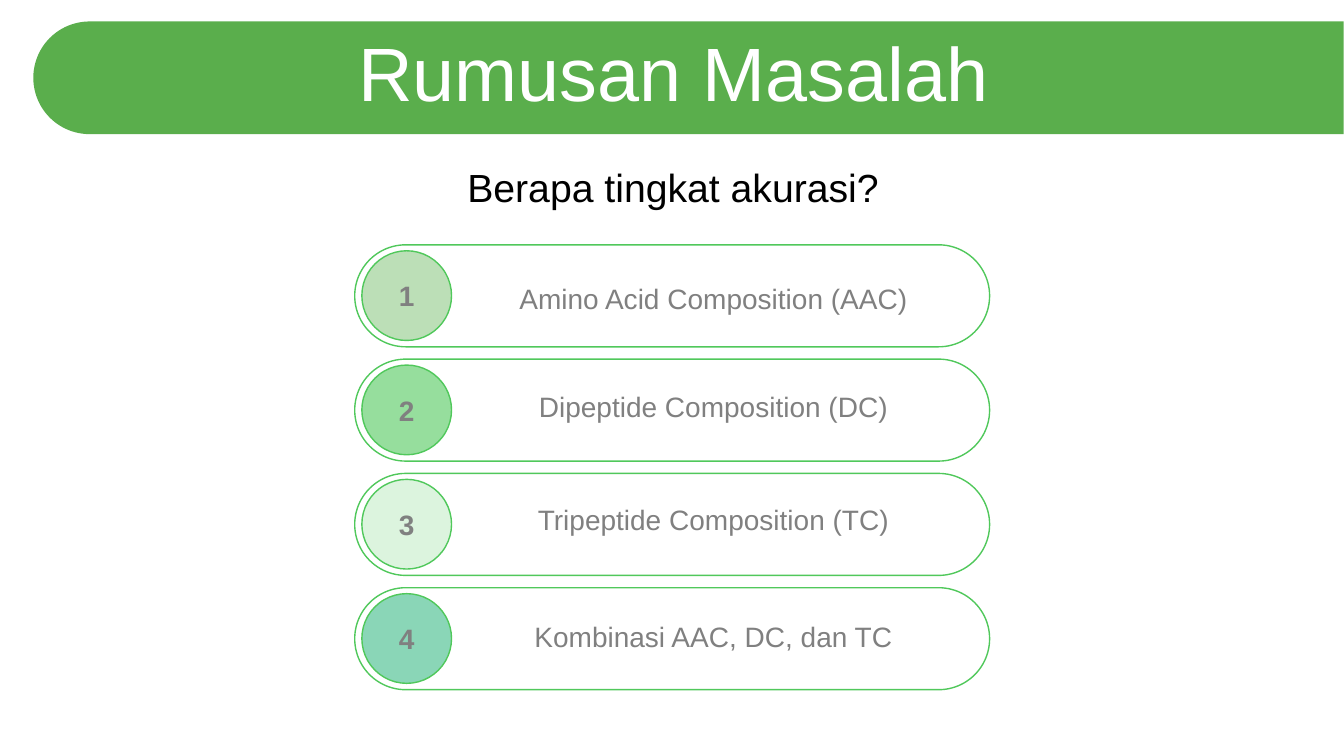
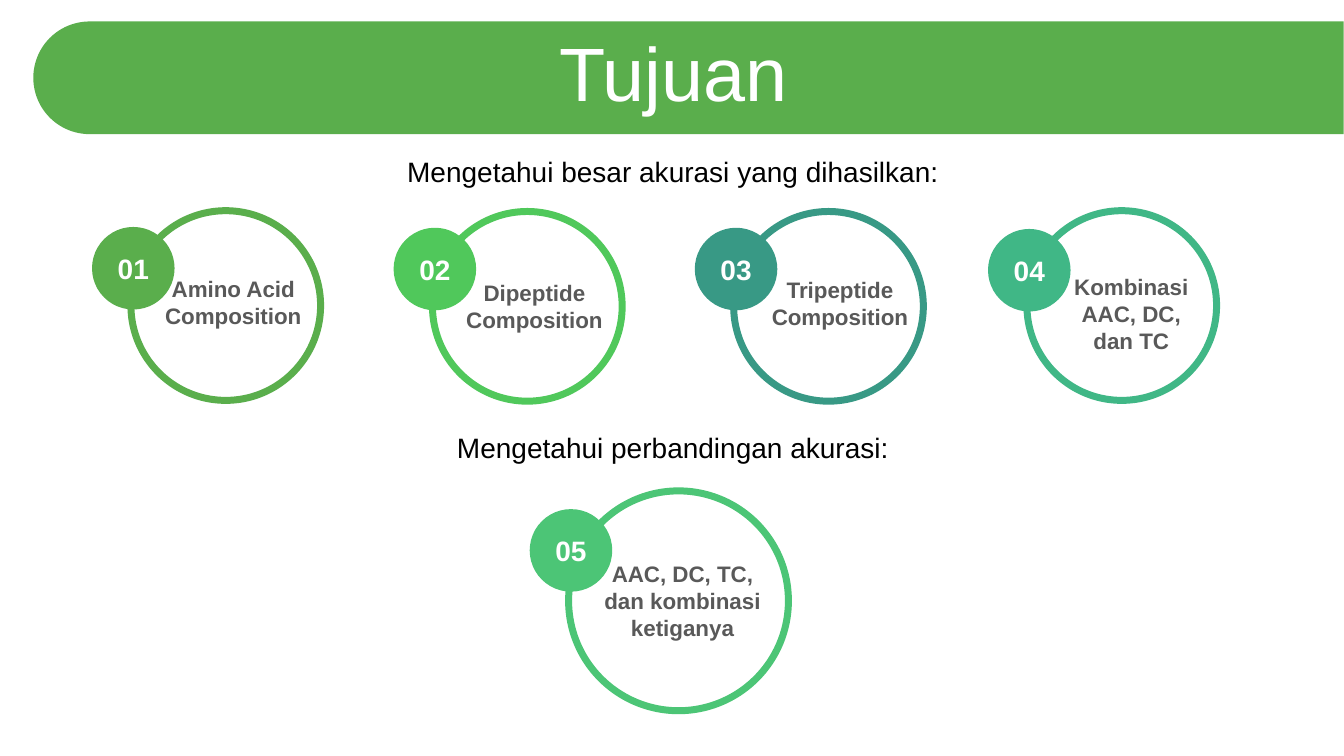
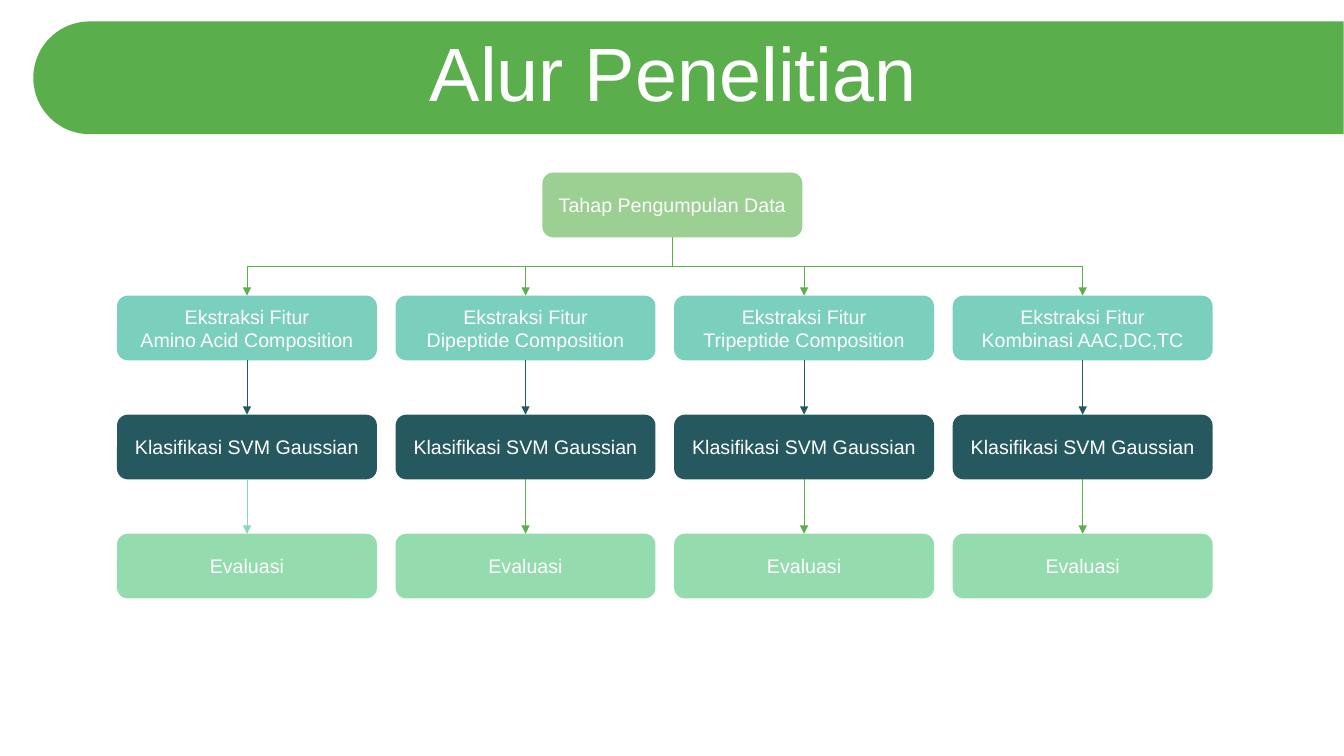
from dataclasses import dataclass

from lxml.etree import SubElement
from pptx import Presentation
from pptx.dml.color import RGBColor
from pptx.enum.shapes import MSO_CONNECTOR, MSO_SHAPE
from pptx.enum.text import MSO_ANCHOR, MSO_AUTO_SIZE, PP_ALIGN
from pptx.oxml.ns import qn
from pptx.util import Cm, Pt


@dataclass(frozen=True)
class Theme:
    face: str = "Arial"
    # Colours
    white: str = "FFFFFF"
    black: str = "000000"
    gray: str = "808080"
    dark: str = "595959"
    green: str = "5AAE4C"
    lime: str = "50C85B"
    mint: str = "8AD6B7"
    deep: str = "25585F"
    root: str = "9BD092"
    aqua: str = "7BCFBD"
    leaf: str = "94DCAD"
    # Type sizes
    head: int = 54
    lead: int = 28
    text: int = 20
    label: int = 16
    node: int = 14


T = Theme()
BOTTOM, TOP = 2, 0

# Number, text, dot colour, top of the text
PILLS = [
    ("1", "Amino Acid Composition (AAC)", "BCDFB7", 6.96),
    ("2", "Dipeptide Composition (DC)", "96DE9D", 9.7),
    ("3", "Tripeptide Composition (TC)", "DCF4DE", 12.55),
    ("4", "Kombinasi AAC, DC, dan TC", T.mint, 15.49),
]

# Number, text, colour, ring (left, top, size), badge top, text (left, top, width)
RINGS = [
    ("01", "Amino Acid Composition", T.green, (3.3, 5.31, 4.78), 5.72, (3.81, 6.81, 4.14)),
    ("02", "Dipeptide Composition", T.lime, (10.9, 5.33, 4.78), 5.74, (11.4, 6.91, 4.14)),
    ("03", "Tripeptide Composition", "389985", (18.49, 5.33, 4.78), 5.74, (19.1, 6.83, 4.14)),
    ("04", "Kombinasi AAC, DC, dan TC", "40B786", (25.88, 5.31, 4.78), 5.77, (26.44, 6.76, 4.14)),
    ("05", "AAC, DC, TC, dan kombinasi ketiganya", "4CC576", (14.33, 12.37, 5.54), 12.83,
     (14.81, 14, 4.78)),
]

FLOWS = ["Amino Acid Composition", "Dipeptide Composition",
         "Tripeptide Composition", "Kombinasi AAC,DC,TC"]


# Basic elements
def apply(item, vals):
    for name, val in vals.items():
        setattr(item, name, val)


def write(frame, text, size, tint, bold=False, **vals):
    frame.text = text
    apply(frame, {"word_wrap": True, **vals})
    for para in frame.paragraphs:
        para.alignment = PP_ALIGN.CENTER
        for run in para.runs:
            apply(run.font, {"name": T.face, "size": Pt(size), "bold": bold})
            run.font.color.rgb = RGBColor.from_string(tint)


def draw(slide, kind, place, fill, line=None, width=1):
    shape = slide.shapes.add_shape(kind, *map(Cm, place))
    shape.shadow.inherit = False
    shape.fill.solid()
    shape.fill.fore_color.rgb = RGBColor.from_string(fill)
    if line:
        shape.line.color.rgb = RGBColor.from_string(line)
        shape.line.width = Pt(width)
    else:
        shape.line.fill.background()
    return shape


def note(slide, place, text, size, tint, bold=False):
    box = slide.shapes.add_textbox(*map(Cm, place))
    write(box.text_frame, text, size, tint, bold)


def lead(slide, top, text, size):
    note(slide, (8.96, top, 16, 1.4), text, size, T.black)


def disc(slide, place, text, fill, tint, line=None):
    shape = draw(slide, MSO_SHAPE.OVAL, place, fill, line)
    write(shape.text_frame, text, T.text, tint, True, vertical_anchor=MSO_ANCHOR.MIDDLE,
          margin_left=0, margin_right=0)


def node(slide, left, top, text, fill):
    shape = draw(slide, MSO_SHAPE.ROUNDED_RECTANGLE, (left, top, 6.55, 1.63), fill)
    write(shape.text_frame, text, T.node, T.white, vertical_anchor=MSO_ANCHOR.MIDDLE)
    return shape


def link(slide, start, end, tint, kind=MSO_CONNECTOR.STRAIGHT):
    line = slide.shapes.add_connector(kind, 0, 0, 0, 0)
    line.begin_connect(start, BOTTOM)
    line.end_connect(end, TOP)
    line.line.color.rgb = RGBColor.from_string(tint)
    line.line.width = Pt(0.5)
    props = line.element.spPr
    SubElement(props.find(qn("a:ln")), qn("a:tailEnd"), type="triangle")
    SubElement(props, qn("a:effectLst"))
    return line


def branch(slide, start, end, tint):
    line = link(slide, start, end, tint, MSO_CONNECTOR.ELBOW)
    right = line.end_x > line.begin_x
    wide, high = line.width, line.height
    # Turn the elbow so that it leaves downwards
    apply(line, {"left": line.left + (wide - high) // 2, "top": line.top + (high - wide) // 2,
                 "width": high, "height": wide})
    frame = line.element.spPr.find(qn("a:xfrm"))
    frame.set("rot", "16200000" if right else "5400000")
    frame.set("flipH", "1" if right else "0")


# Shared layout: green band and title place
def set_up(layout, slide):
    for hold in list(layout.placeholders):
        if hold.placeholder_format.idx:
            layout.shapes.element.remove(hold.element)
        else:
            apply(hold, {"left": Cm(0.89), "top": Cm(0.94), "width": Cm(32.16), "height": Cm(2.01)})
    band = draw(slide, MSO_SHAPE.ROUND_2_SAME_RECTANGLE, (15.93, -14.55, 2.84, 33.02), T.green)
    band.rotation = 270
    band.adjustments[0] = 0.5
    layout.shapes.element.insert(2, band.element)


def add_page(deck, layout, title):
    slide = deck.slides.add_slide(layout)
    frame = slide.shapes.title.text_frame
    write(frame, title, T.head, T.white, vertical_anchor=MSO_ANCHOR.MIDDLE,
          auto_size=MSO_AUTO_SIZE.NONE)
    frame.paragraphs[0].line_spacing = 0.9
    return slide


# Slide content
def fill_pills(slide):
    lead(slide, 3.99, "Berapa tingkat akurasi?", T.lead)
    for i, (num, text, tint, top) in enumerate(PILLS):
        y = 6.17 + i * 2.88
        pill = draw(slide, MSO_SHAPE.ROUNDED_RECTANGLE, (8.94, y, 16, 2.57), T.white, T.lime)
        pill.adjustments[0] = 0.5
        disc(slide, (9.12, y + 0.15, 2.26, 2.26), num, tint, T.gray, T.lime)
        note(slide, (11.38, top, 13.2, 1.12), text, T.text, T.gray)


def fill_rings(slide):
    lead(slide, 3.78, "Mengetahui besar akurasi yang dihasilkan:", T.text)
    lead(slide, 10.72, "Mengetahui perbandingan akurasi:", T.text)
    for num, text, tint, (x, y, size), top, place in RINGS:
        draw(slide, MSO_SHAPE.OVAL, (x, y, size, size), T.white, tint, 5)
        disc(slide, (x - 0.98, top, 2.08, 2.08), num, tint, T.white)
        note(slide, (*place, 2), text, T.label, T.dark, True)


def fill_flow(slide):
    root = node(slide, 13.67, 4.35, "Tahap Pengumpulan Data", T.root)
    for i, name in enumerate(FLOWS):
        x = 2.95 + i * 7.02
        steps = [("Ekstraksi Fitur\n" + name, T.aqua),
                 ("Klasifikasi SVM Gaussian", T.deep), ("Evaluasi", T.leaf)]
        first, mid, last = [node(slide, x, 7.45 + j * 3, *step) for j, step in enumerate(steps)]
        branch(slide, root, first, T.green)
        link(slide, first, mid, T.deep)
        link(slide, mid, last, T.green if i else T.mint)


def main():
    deck = Presentation()
    apply(deck, {"slide_width": Cm(33.87), "slide_height": Cm(19.05)})
    layout = deck.slide_layouts.get_by_name("Title Only")
    pages = [("Rumusan Masalah", fill_pills), ("Tujuan", fill_rings),
             ("Alur Penelitian", fill_flow)]
    for i, (title, fill) in enumerate(pages):
        slide = add_page(deck, layout, title)
        if i == 0:
            set_up(layout, slide)
        fill(slide)
    deck.save("out.pptx")


if __name__ == "__main__":
    main()
